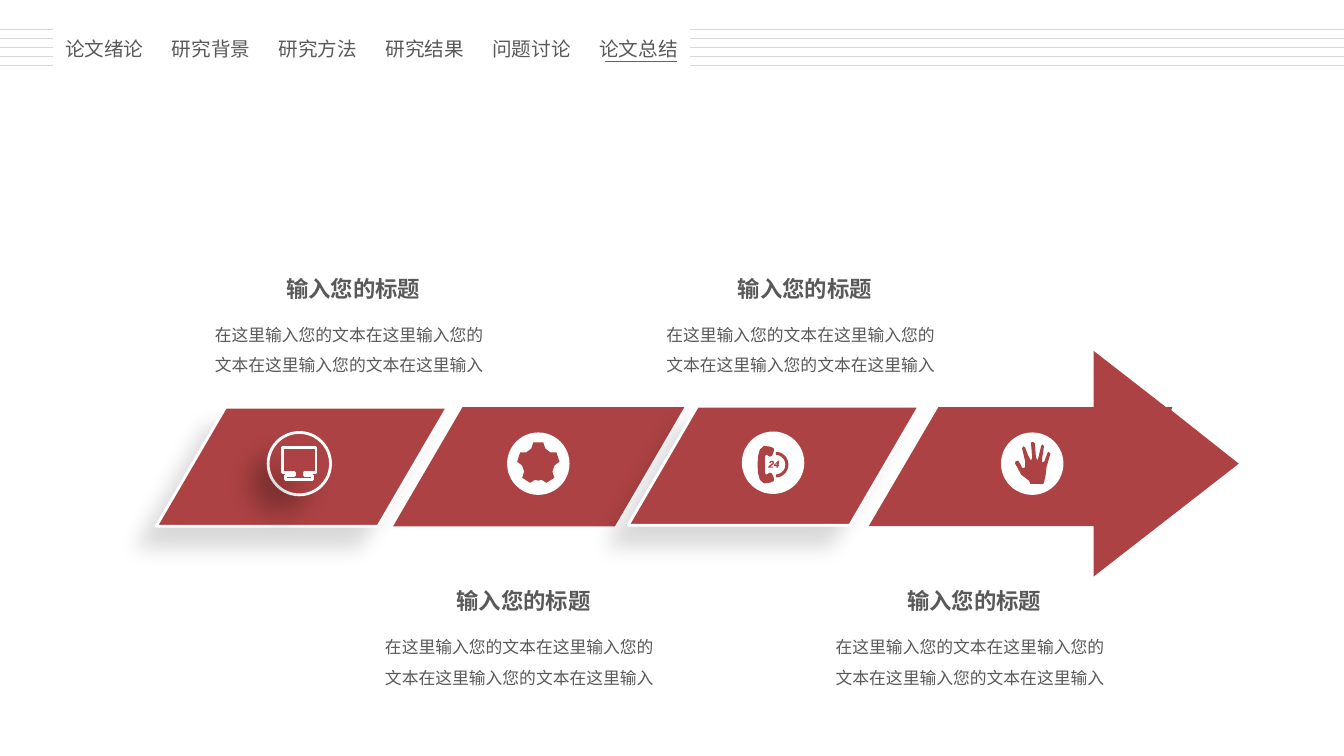
from math import cos, radians, sin

from lxml.etree import SubElement
from pptx import Presentation
from pptx.dml.color import RGBColor
from pptx.enum.shapes import MSO_CONNECTOR, MSO_SHAPE
from pptx.enum.text import MSO_AUTO_SIZE, PP_ALIGN
from pptx.oxml import parse_xml
from pptx.oxml.ns import nsdecls, qn
from pptx.util import Pt

COLORS = {"red": "AC4243", "white": "FFFFFF", "text": "595959",
          "rule": "D9D9D9", "shadow": "000000"}
FONT = "Noto Sans CJK SC"
DISC = 44.6


def mirror_x(half):
    return half + [(-x, y) for x, y in reversed(half)]


def mirror_y(half, axis):
    return half + [(x, 2 * axis - y) for x, y in reversed(half)]


def arc(cx, cy, radius, angles):
    return [(cx + radius * cos(radians(a)), cy + radius * sin(radians(a)))
            for a in angles]


class SlideBuilder:
    def __init__(self, slide):
        self.shapes = slide.shapes

    def color(self, name):
        return RGBColor.from_string(COLORS[name])

    def style(self, shape, fill, outlined=False, shadow=False):
        shape.shadow.inherit = False
        shape.fill.solid()
        shape.fill.fore_color.rgb = self.color(fill)
        if outlined:
            shape.line.color.rgb = self.color("white")
            shape.line.width = Pt(2)
        else:
            shape.line.fill.background()
        if shadow:
            effects = shape._element.spPr.find(qn("a:effectLst"))
            effects.append(parse_xml(
                f'<a:outerShdw {nsdecls("a")} blurRad="{Pt(15)}" dist="{Pt(20)}" '
                f'dir="{135 * 60000}" algn="tr" rotWithShape="0">'
                f'<a:srgbClr val="{COLORS["shadow"]}"><a:alpha val="15000"/>'
                '</a:srgbClr></a:outerShdw>'))

    def step(self, left, top, raised=False):
        band = self.shapes.add_shape(MSO_SHAPE.PARALLELOGRAM, Pt(left), Pt(top),
                                     Pt(208), Pt(85))
        band.adjustments[0] = 0.583
        self.style(band, "red", raised, raised)

    def disc(self, center, fill="white", raised=False):
        x, y = center
        disc = self.shapes.add_shape(MSO_SHAPE.OVAL, Pt(x - DISC / 2),
                                     Pt(y - DISC / 2), Pt(DISC), Pt(DISC))
        self.style(disc, fill, raised, raised)

    def outline(self, contours, origin=(0, 0), raised=False):
        ox, oy = origin
        placed = [[(Pt(ox + x), Pt(oy + y)) for x, y in c] for c in contours]
        builder = self.shapes.build_freeform(*placed[0][0])
        for i, contour in enumerate(placed):
            if i:
                builder.move_to(*contour[0])
            builder.add_line_segments(contour[1:], close=True)
        self.style(builder.convert_to_shape(), "red", raised, raised)

    def text(self, words, box, size, bold=False, align=PP_ALIGN.LEFT,
             spacing=1.0, insets=(0, 0), wrap=True):
        frame = self.shapes.add_textbox(*map(Pt, box)).text_frame
        frame.word_wrap = wrap
        frame.auto_size = MSO_AUTO_SIZE.SHAPE_TO_FIT_TEXT
        frame.margin_left = frame.margin_right = Pt(insets[0])
        frame.margin_top = frame.margin_bottom = Pt(insets[1])
        paragraph = frame.paragraphs[0]
        paragraph.alignment = align
        paragraph.line_spacing = spacing
        run = paragraph.add_run()
        run.text = words
        run.font.size = Pt(size)
        run.font.bold = bold
        run.font.name = FONT
        run.font.color.rgb = self.color("text")
        SubElement(run._r.get_or_add_rPr(), qn("a:ea")).set("typeface", FONT)

    def rule(self, x1, x2, y, color):
        line = self.shapes.add_connector(MSO_CONNECTOR.STRAIGHT,
                                         Pt(x1), Pt(y), Pt(x2), Pt(y))
        line.line.color.rgb = self.color(color)
        line.line.width = Pt(0.5)
        SubElement(line._element.spPr, qn("a:effectLst"))


# Icon outlines, measured from the centre of their disc
MONITOR = [mirror_x([(11.9, -11.5), (11.9, 6.5), (3.6, 6.5), (3.6, 8.6),
                     (9.7, 8.6), (9.7, 11.5)])]
GEAR = [mirror_x([(3.6, -15.1), (5, -10.8), (8.6, -8), (13, -8), (15.1, -1.4),
                  (11.5, 1.4), (10.1, 5.8), (11.5, 10.1), (5.8, 13.7),
                  (2.2, 11.5), (0, 12.2)])]
HANDSET = mirror_y([(-5.8, 1.4), (-5.8, -4.3), (-5, -5.8), (-2.2, -4.3),
                    (-0.6, -5), (0.9, -9), (0.4, -10.4), (-2.2, -11.5),
                    (-6.5, -12), (-9.4, -9.4), (-10.8, -4.3), (-11, 1.4)], 1.4)
SOUND = (arc(1.8, 1.4, 9.2, range(-88, 89, 8))
         + arc(1.8, 1.4, 7, range(88, -89, -8)))
TWO = [(-3.6, 3.6), (0, 3.6), (0, 2.9), (-2, 2.7), (0.4, 1), (0.7, -0.2),
       (0.2, -1.2), (-0.7, -1.4), (-2, -1), (-2.8, 0), (-1.6, 0.1),
       (-1, -0.6), (-0.4, -0.4), (-0.5, 0.4), (-3, 2.4)]
FOUR = [(4.3, 1.7), (3.9, 1.7), (4.4, -1.4), (3.6, -1.4), (0.7, 1.6),
        (0.7, 2.4), (2.7, 2.4), (2.4, 3.6), (3.5, 3.6), (3.7, 2.4), (4.2, 2.4)]
FOUR_HOLE = [(1.6, 1.6), (2.8, 0), (2.6, 1.6)]
PHONE = [SOUND, HANDSET, TWO, FOUR, FOUR_HOLE]
HAND = [[(-1.4, 14.4), (-2.2, 12.2), (-7.9, 7.9), (-10.1, 3.6), (-12.2, 0),
         (-12, -1.6), (-10.1, -2.2), (-8.6, 0), (-7.2, 2.9), (-5.8, 3.2),
         (-5, 2.2), (-5, -1.4), (-7.2, -10.8), (-6.5, -12.4), (-5, -11.5),
         (-3, -6), (-0.9, -2.2), (0, -4), (-0.9, -15.1), (0.5, -15.6),
         (2, -14.4), (2.6, -5), (3.6, -2.2), (4.6, -5), (6.5, -13),
         (7.6, -13.7), (8.4, -12.2), (7, -3), (7.2, -0.7), (8.8, -1.8),
         (11.3, -8.6), (13, -7.2), (10.1, 2.9), (9.8, 7), (8.6, 13),
         (7.9, 14.4)]]
ARROW = [[(781.2, 250.6), (833, 290.9), (837.4, 290.9), (836.6, 293),
          (884.9, 331.2), (781.2, 411.8), (781.2, 375.8), (620.6, 375.8),
          (670.3, 290.9), (781.2, 290.9)]]

NAVIGATION = ["论文绪论", "研究背景", "研究方法", "研究结果", "问题讨论", "论文总结"]
HEADING = "输入您的标题"
BODY = "在这里输入您的文本在这里输入您的文本在这里输入您的文本在这里输入"


def main():
    deck = Presentation()
    deck.slide_width, deck.slide_height = Pt(960), Pt(540)
    page = SlideBuilder(deck.slides.add_slide(deck.slide_layouts[6]))

    # Process band with icons
    page.step(111.6, 290.9, raised=True)
    monitor = (213.8, 331.2)
    page.disc(monitor, "red", raised=True)
    page.outline(MONITOR, monitor, raised=True)
    page.step(280.8, 290.9)
    gear = (384.5, 331.2)
    page.disc(gear)
    page.outline(GEAR, gear)
    page.outline(ARROW)
    page.step(448.6, 290.2, raised=True)
    for icon, center in [(HAND, (737.3, 331.2)), (PHONE, (552.2, 330.5))]:
        page.disc(center)
        page.outline(icon, center)

    # Captions above and below the band
    for left, top in [(153.4, 187.9), (475.9, 187.9), (275, 411.1), (596.9, 411.1)]:
        page.text(HEADING, (left + 31, top, 136, 31), 16, bold=True,
                  align=PP_ALIGN.CENTER, spacing=1.3, insets=(5, 2.9))
        page.text(BODY, (left, top + 36.7, 198, 43.9), 12, spacing=1.5)

    # Header rules on both sides of the navigation
    for x1, x2 in [(960, 493.2), (38.2, 0)]:
        for i in range(5):
            page.rule(x1, x2, 20.9 + 6.48 * i, "rule")

    # Navigation with the current chapter underlined
    for i, chapter in enumerate(NAVIGATION):
        page.text(chapter, (38.9 + 76.3 * i, 23, 71.3, 24.5), 14,
                  align=PP_ALIGN.CENTER, insets=(7.2, 3.6), wrap=False)
    page.rule(432, 483.8, 43.9, "red")

    deck.save("out.pptx")


if __name__ == "__main__":
    main()
